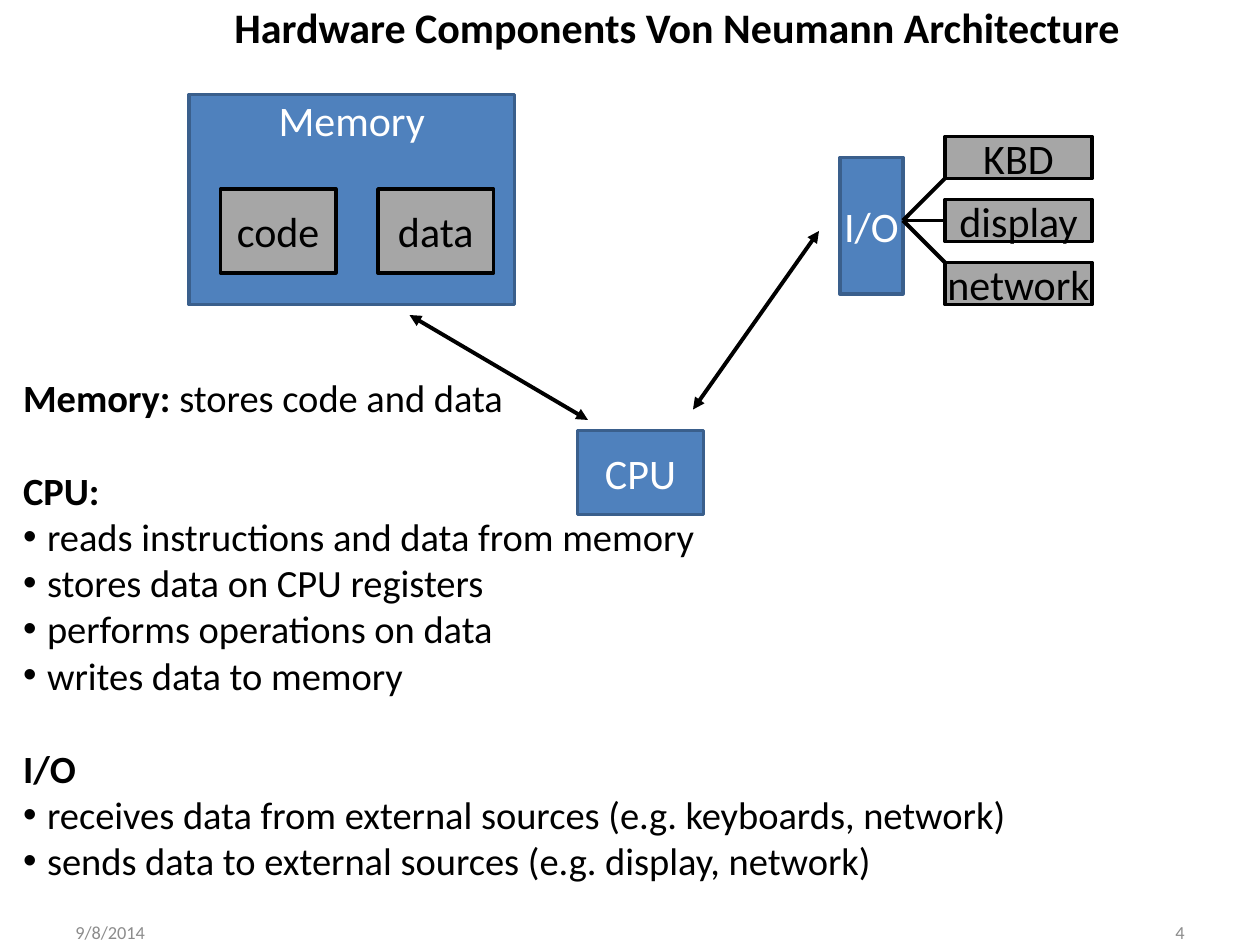
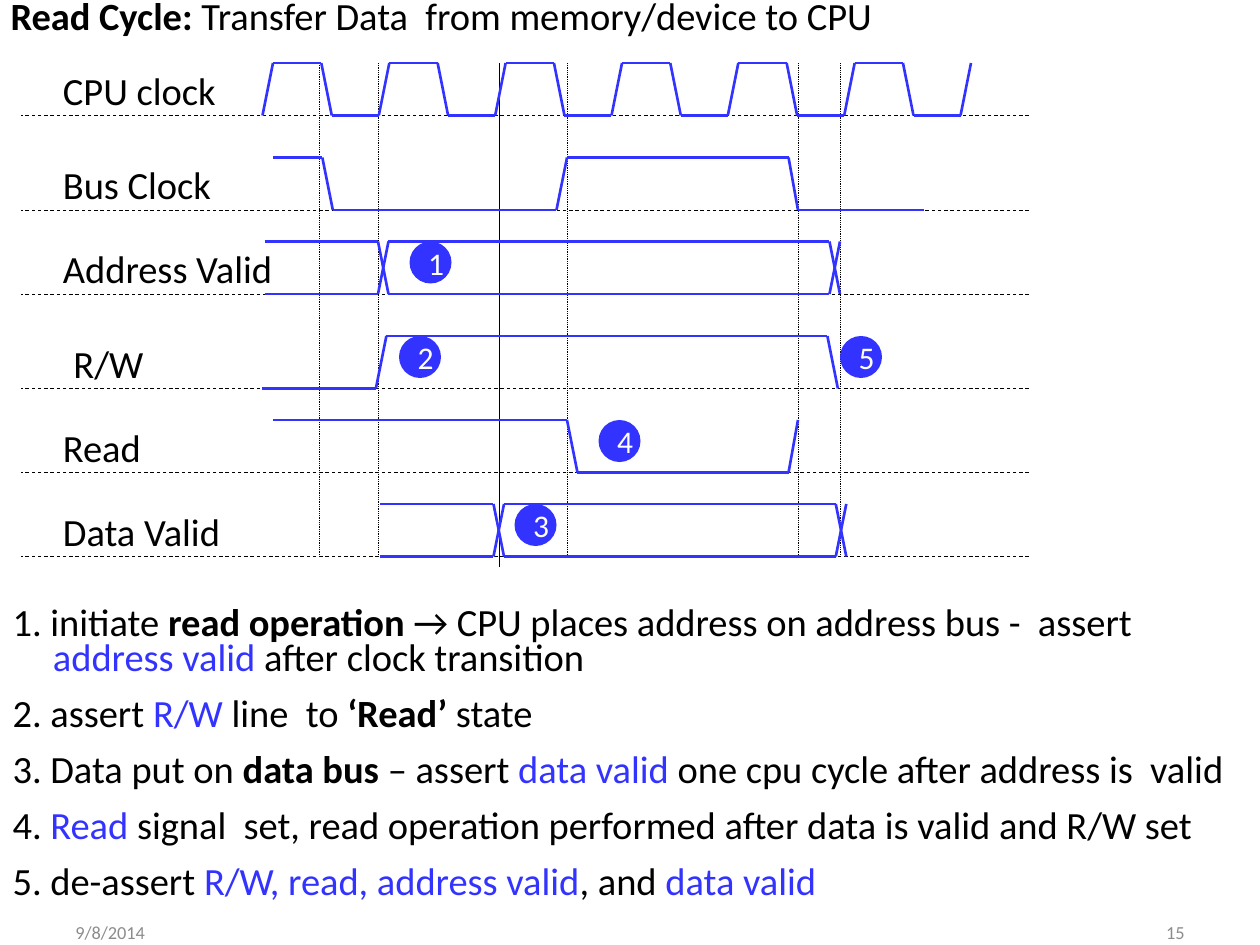
from dataclasses import dataclass

from lxml import etree
from pptx import Presentation
from pptx.dml.color import RGBColor
from pptx.enum.dml import MSO_LINE
from pptx.enum.shapes import MSO_CONNECTOR, MSO_SHAPE
from pptx.enum.text import MSO_ANCHOR, MSO_AUTO_SIZE, PP_ALIGN
from pptx.oxml.ns import qn
from pptx.util import Inches, Pt

RECTANGLE, ELLIPSE = MSO_SHAPE.RECTANGLE, MSO_SHAPE.OVAL
STRAIGHT = MSO_CONNECTOR.STRAIGHT
LEFT, CENTER, RIGHT = PP_ALIGN.LEFT, PP_ALIGN.CENTER, PP_ALIGN.RIGHT
TOP, MIDDLE = MSO_ANCHOR.TOP, MSO_ANCHOR.MIDDLE
DASH, DOT = MSO_LINE.DASH, MSO_LINE.ROUND_DOT
LEFT_SIDE = 1

COLORS = {
    "white": "FFFFFF",
    "black": "000000",
    "unit": "4F81BD",
    "unit_edge": "3A5F8C",
    "part": "A6A6A6",
    "signal": "3333FF",
    "footer": "8C8C8C",
}
FONT = "Calibri"
GRID = 12
SLIDE_SIZE = (120, 90)
BULLET_HANG = 0.19
STEP_HANG = 0.32
BLANK_LINE = 26.8
SWING = 5

NOTES = [
    ("Memory:", " stores code and data", []),
    ("CPU:", "", [
        "reads instructions and data from memory",
        "stores data on CPU registers",
        "performs operations on data",
        "writes data to memory",
    ]),
    ("I/O", "", [
        "receives data from external sources (e.g. keyboards, network)",
        "sends data to external sources (e.g. display, network)",
    ]),
]

STEPS = [
    ["1. initiate ", ("read operation ", "bold"),
     "→ CPU places address on address bus -  assert ",
     ("address valid", "signal"), " after clock transition"],
    ["2. assert ", ("R/W ", "signal"), "line  to ", ("‘Read’ ", "bold"), "state"],
    ["3. Data put on ", ("data bus", "bold"), " – assert ", ("data valid", "signal"),
     " one cpu cycle after address is  valid"],
    ["4.", (" Read ", "signal"),
     "signal  set, read operation performed after data is valid and R/W set"],
    ["5. de-assert ", ("R/W, read, address valid", "signal"), ", and ",
     ("data valid", "signal")],
]

CLOCK_START, CLOCK_PERIOD, CLOCK_CYCLES = 23, 11.08, 6


@dataclass
class Box:
    """A rectangle counted in grid columns and rows."""
    left: float
    top: float
    width: float
    height: float

    def inner(self, left, top, width, height):
        """Return a box placed from this box's corner."""
        return Box(self.left + left, self.top + top, width, height)

    def point(self, column, row):
        """Return a point placed from this box's corner."""
        return self.left + column, self.top + row

    def lengths(self):
        """Return left, top, width and height as lengths."""
        return [grid(n) for n in (self.left, self.top, self.width, self.height)]


@dataclass
class Item:
    """A paragraph: runs, hanging indent, space before and bullet."""
    runs: list
    hang: float = 0
    before: float = 0
    bullet: bool = False


def grid(count):
    """Convert grid steps to a length."""
    return Inches(count / GRID)


def color(name):
    """Look up a colour by name."""
    return RGBColor.from_string(COLORS[name])


def set_bullet(paragraph, item):
    """Set the hanging indent and the bullet of a paragraph."""
    properties = paragraph._p.get_or_add_pPr()
    properties.set("marL", str(Inches(item.hang)))
    properties.set("indent", str(-Inches(item.hang)))
    if item.bullet:
        etree.SubElement(properties, qn("a:buFont")).set("typeface", "Arial")
        etree.SubElement(properties, qn("a:buChar")).set("char", "•")
    else:
        etree.SubElement(properties, qn("a:buNone"))


def write(shape, items, size=24, ink="black", bold=False, align=LEFT, anchor=TOP,
          line_spacing=None, inset=True):
    """Fill a shape with formatted paragraphs."""
    frame = shape.text_frame
    frame.auto_size = MSO_AUTO_SIZE.NONE
    frame.word_wrap = True
    frame.vertical_anchor = anchor
    if not inset:
        frame.margin_left = frame.margin_right = 0
        frame.margin_top = frame.margin_bottom = 0
    if isinstance(items, str):
        items = [Item([items])]
    for index, item in enumerate(items):
        paragraph = frame.add_paragraph() if index else frame.paragraphs[0]
        set_bullet(paragraph, item)
        paragraph.alignment = align
        paragraph.space_before = Pt(item.before)
        if line_spacing:
            paragraph.line_spacing = Pt(line_spacing)
        for part in item.runs:
            text, style = (part, "") if isinstance(part, str) else part
            run = paragraph.add_run()
            run.text = text
            run.font.name = FONT
            run.font.size = Pt(size)
            run.font.bold = bold or style == "bold"
            run.font.color.rgb = color(style if style in COLORS else ink)


def place(shape, box):
    """Move a placeholder to a box."""
    shape.left, shape.top, shape.width, shape.height = box.lengths()
    return shape


def add_label(slide, box, text, **text_format):
    """Add a text box."""
    write(slide.shapes.add_textbox(*box.lengths()), text, **text_format)


def add_block(slide, box, text, fill, edge=None, kind=RECTANGLE, **text_format):
    """Add a filled shape with centred text."""
    shape = slide.shapes.add_shape(kind, *box.lengths())
    shape.shadow.inherit = False
    shape.fill.solid()
    shape.fill.fore_color.rgb = color(fill)
    if edge:
        shape.line.color.rgb = color(edge)
        shape.line.width = Pt(2)
    else:
        shape.line.fill.background()
    write(shape, text, align=CENTER, **text_format)
    return shape


def add_unit(slide, box, text, anchor=MIDDLE):
    """Add a main hardware unit."""
    add_block(slide, box, text, "unit", "unit_edge", ink="white", anchor=anchor, inset=False)


def add_part(slide, box, text):
    """Add a part that belongs to a hardware unit."""
    return add_block(slide, box, text, "part", "black", anchor=MIDDLE, inset=False)


def add_line(slide, start, end, ink="black", width=2.25, dash=None, arrows=False):
    """Add a straight line between two grid points."""
    line = slide.shapes.add_connector(STRAIGHT, *[grid(n) for n in (*start, *end)])
    line.line.color.rgb = color(ink)
    line.line.width = Pt(width)
    if dash:
        line.line.dash_style = dash
    if arrows:
        outline = line.line._get_or_add_ln()
        for tag in ("a:headEnd", "a:tailEnd"):
            etree.SubElement(outline, qn(tag)).set("type", "triangle")
    etree.SubElement(line._element.spPr, qn("a:effectLst"))
    return line


def add_footer(slide, box, number):
    """Add the date and the slide number at the two ends of a band."""
    width = 28
    for left, text, align in ((0, "9/8/2014", LEFT), (box.width - width, number, RIGHT)):
        add_label(slide, box.inner(left, 0, width, box.height), text, size=10.5,
                  ink="footer", align=align, anchor=MIDDLE)


def new_slide(presentation, number):
    """Add a title and content slide with its footer."""
    slide = presentation.slides.add_slide(presentation.slide_layouts[1])
    add_footer(slide, Box(6, 87.7, 108, 2.2), number)
    return slide


def draw_memory(slide, box):
    """Draw the memory with its code and data parts."""
    add_unit(slide, box, "Memory", anchor=TOP)
    for index, name in enumerate(("code", "data")):
        add_part(slide, box.inner(3 + 15 * index, 9, 11, 8), name)


def draw_devices(slide, box):
    """Draw the I/O unit and the devices linked to it."""
    add_unit(slide, box.inner(0, 2, 6, 13), "I/O")
    hub = box.point(6, 8)
    links = [add_line(slide, hub, box.point(11, row)) for row in (3, 8, 13)]
    devices = [add_part(slide, box.inner(10, 6 * index, 14, 4), name)
               for index, name in enumerate(("KBD", "display", "network"))]
    links[1].end_connect(devices[1], LEFT_SIDE)


def component_notes():
    """Turn the notes into headings and bulleted items."""
    items = []
    for heading, rest, points in NOTES:
        items.append(Item([(heading, "bold"), rest] if rest else [(heading, "bold")],
                          before=BLANK_LINE if items else 0))
        items += [Item([point], hang=BULLET_HANG, bullet=True) for point in points]
    return items


def build_components(presentation):
    """Build the slide on hardware components."""
    slide = new_slide(presentation, "4")
    title, body = slide.placeholders
    write(place(title, Box(18, 0, 93, 5)), "Hardware Components Von Neumann Architecture",
          bold=True, align=CENTER, anchor=MIDDLE, inset=False)
    draw_memory(slide, Box(18, 9, 31, 20))
    draw_devices(slide, Box(80, 13, 24, 16))
    add_unit(slide, Box(55, 41, 12, 8), "CPU")
    add_line(slide, (39, 30), (56, 40), arrows=True)
    add_line(slide, (78, 22), (66, 39), arrows=True)
    write(place(body, Box(1, 35, 99, 50)), component_notes(), size=22)


def clock_wave():
    """Return the points of the CPU clock."""
    points = []
    for cycle in range(CLOCK_CYCLES):
        start = CLOCK_START + cycle * CLOCK_PERIOD
        points += [(start, 0), (start + 1, 1), (start + 5.6, 1), (start + 6.6, 0)]
    end = CLOCK_START + CLOCK_CYCLES * CLOCK_PERIOD
    return points + [(end, 0), (end + 1, 1)]


def bus_waves(start, opens, closes):
    """Return two mirrored waves that cross at the opening and the closing."""
    wave = [(start, 1), (opens, 1), (opens + 1, 0), (closes, 0), (closes + 1, 1)]
    return [wave, [(column, 1 - level) for column, level in wave]]


def timing_signals():
    """Return name, label column, base row, waves and badges of each signal."""
    bus_clock = [(24, 1), (28.7, 1), (29.7, 0), (51, 0), (52, 1), (73.1, 1), (74, 0), (86, 0)]
    read_write = [(23, 0), (33.8, 0), (34.8, 1), (76.8, 1), (77.8, 0)]
    read = [(24, 1), (52, 1), (53, 0), (73.1, 0), (74, 1)]
    return [
        ("CPU clock", 4, 5, [clock_wave()], {}),
        ("Bus Clock", 4, 14, [bus_clock], {}),
        ("Address Valid", 4, 22, bus_waves(23.2, 34, 77), {"1": 37}),
        ("R/W", 5, 31, [read_write], {"2": 36, "5": 78}),
        ("Read", 4, 39, [read], {"4": 55}),
        ("Data Valid", 4, 47, bus_waves(34.2, 45, 77.6), {"3": 47}),
    ]


def draw_timing(slide, box):
    """Draw the timing diagram of the read cycle."""
    for column in (28.4, 34, 52, 74, 78):
        add_line(slide, box.point(column, 0), box.point(column, 46.8), width=0.5, dash=DOT)
    add_line(slide, box.point(45.6, 0), box.point(45.6, box.height), width=0.5)
    for name, left, base, waves, badges in timing_signals():
        add_line(slide, box.point(box.width, base), box.point(0, base), width=0.5, dash=DASH)
        add_label(slide, box.inner(left, base - 3.9, 23, 3.7), name, size=22,
                  line_spacing=22, inset=False)
        for wave in waves:
            points = [box.point(column, base - SWING * level) for column, level in wave]
            for start, end in zip(points, points[1:]):
                add_line(slide, start, end, ink="signal", width=1.5)
        for step, column in badges.items():
            add_block(slide, box.inner(column, base - SWING, 4, 4), step, "signal",
                      kind=ELLIPSE, size=18, ink="white", anchor=MIDDLE)


def build_read_cycle(presentation):
    """Build the slide on the read cycle."""
    slide = new_slide(presentation, "15")
    title, body = slide.placeholders
    heading = Item([("Read Cycle: ", "bold"), "Transfer Data  from memory/device to CPU"])
    write(place(title, Box(1, 0, 117, 3.7)), [heading], size=22, line_spacing=22, inset=False)
    steps = [Item(runs, hang=STEP_HANG, before=12 if index else 0)
             for index, runs in enumerate(STEPS)]
    write(place(body, Box(1.2, 58, 118, 28.4)), steps, size=22, line_spacing=20, inset=False)
    draw_timing(slide, Box(2, 6, 96, 48))


def main():
    """Build and save the presentation."""
    presentation = Presentation()
    presentation.slide_width, presentation.slide_height = [grid(n) for n in SLIDE_SIZE]
    build_components(presentation)
    build_read_cycle(presentation)
    presentation.save("out.pptx")


if __name__ == "__main__":
    main()
